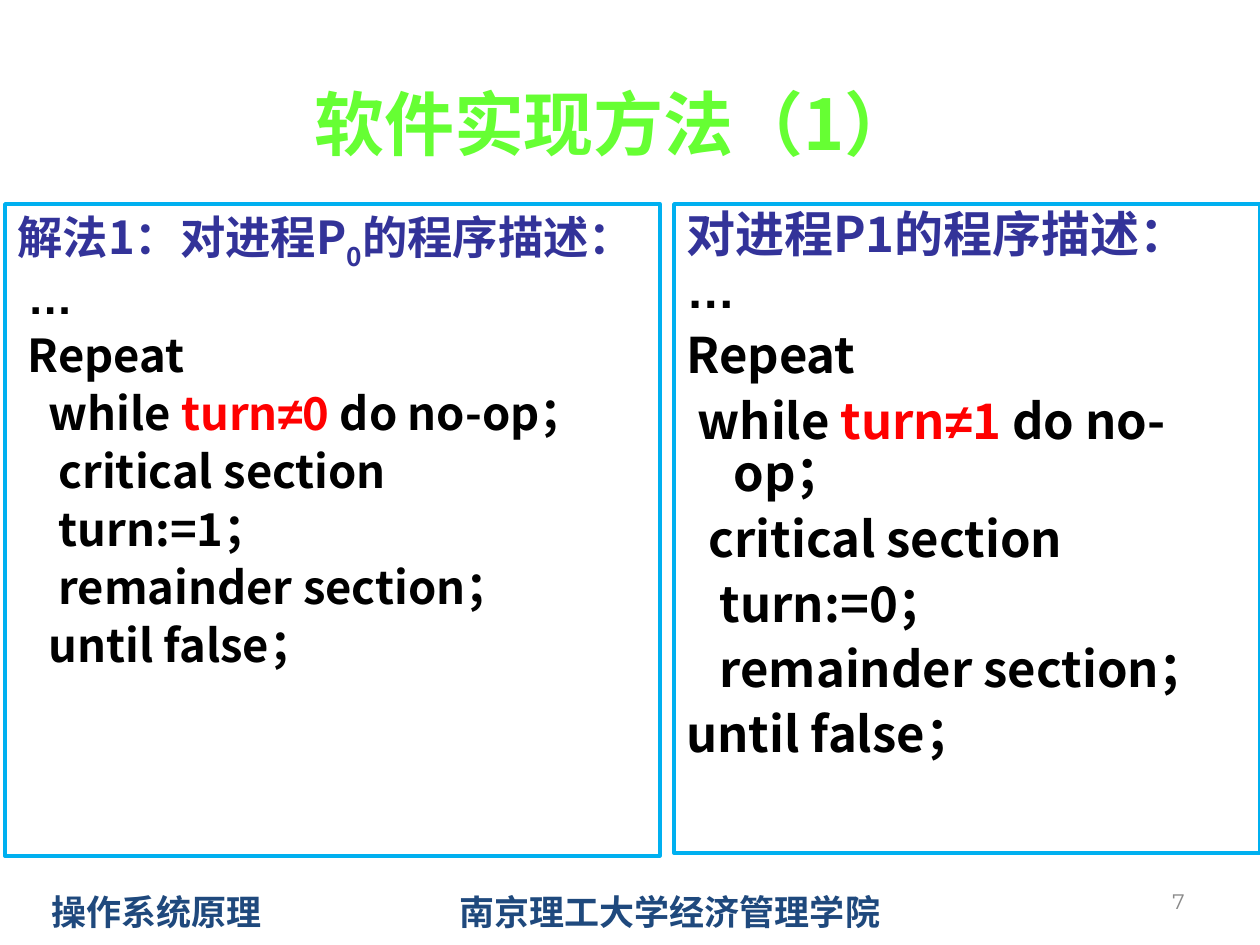
from dataclasses import dataclass

from lxml import etree
from pptx import Presentation
from pptx import util as u
from pptx.dml.color import RGBColor
from pptx.enum import shapes, text
from pptx.oxml.ns import qn

PX = 914400 / 126
CJK = "Noto Sans CJK SC"
BLACK, RED, INDIGO = "000000", "FF0000", "333399"
GREEN, NAVY, GREY, SKY = "66FF33", "1F497D", "898989", "00B0F0"


@dataclass
class Run:
    content: str
    color: str = BLACK
    font: str = CJK
    baseline: int = 0


@dataclass
class Line:
    runs: list[Run]
    space_before: float


@dataclass
class Panel:
    box: tuple[int, int, int, int]
    size: float
    lines: list[Line]


def px(length: int) -> u.Emu:
    return u.Emu(round(length * PX))


def rgb(color: str) -> RGBColor:
    return RGBColor.from_string(color)


def add_run(paragraph, content: str, *, size: float, color: str,
            font: str = CJK, bold: bool = True, baseline: int = 0) -> None:
    run = paragraph.add_run()
    run.text = content
    run.font.size = u.Pt(size)
    run.font.bold = bold
    run.font.color.rgb = rgb(color)
    run.font.name = font
    properties = run.font._element
    etree.SubElement(properties, qn("a:ea")).set("typeface", font)
    if baseline:
        properties.set("baseline", str(baseline * 1000))


def add_label(slide, box: tuple[int, int, int, int], content: str, *,
              align=text.PP_ALIGN.LEFT, anchor=text.MSO_ANCHOR.MIDDLE,
              **run_format) -> None:
    frame = slide.shapes.add_textbox(*map(px, box)).text_frame
    frame.word_wrap = True
    frame.vertical_anchor = anchor
    paragraph = frame.paragraphs[0]
    paragraph.alignment = align
    add_run(paragraph, content, **run_format)


def add_panel(slide, panel: Panel) -> None:
    shape = slide.shapes.add_shape(shapes.MSO_SHAPE.RECTANGLE,
                                   *map(px, panel.box))
    shape.shadow.inherit = False
    shape.fill.background()
    shape.line.color.rgb = rgb(SKY)
    shape.line.width = u.Pt(2)
    frame = shape.text_frame
    frame.word_wrap = True
    frame.vertical_anchor = text.MSO_ANCHOR.TOP
    for index, line in enumerate(panel.lines):
        paragraph = frame.add_paragraph() if index else frame.paragraphs[0]
        paragraph.alignment = text.PP_ALIGN.LEFT
        paragraph.line_spacing = 0.9
        paragraph.space_before = u.Pt(line.space_before)
        hanging = px(47)
        indent = paragraph._p.get_or_add_pPr()
        indent.set("marL", str(hanging))
        indent.set("indent", str(-hanging))
        for run in line.runs:
            add_run(paragraph, run.content, size=panel.size, color=run.color,
                    font=run.font, baseline=run.baseline)


def while_line(indent: str, turn: str) -> list[Run]:
    return [Run(f"{indent}while "), Run("turn", RED), Run("≠", RED, "Arial"),
            Run(turn, RED), Run(" do no-op；")]


def program(heading: list[Run], dots: list[Run], code: list[str | list[Run]],
            dots_gap: float, code_gap: float) -> list[Line]:
    code_lines = [Line([Run(row)] if isinstance(row, str) else row, code_gap)
                  for row in code]
    return [Line(heading, 0), Line(dots, dots_gap), *code_lines]


PANELS = [
    Panel((5, 204, 655, 652), 25.9, program(
        [Run("解法1：对进程P", INDIGO), Run("0", INDIGO, baseline=-25),
         Run("的程序描述：", INDIGO)],
        [Run(" "), Run("…", font="Arial")],
        [" Repeat", while_line("   ", "0"), "    critical section",
         "    turn:=1；", "    remainder section；", "   until false；"],
        5.2, 5.2)),
    Panel((674, 204, 586, 649), 28, program(
        [Run("对进程P1的程序描述：", INDIGO)],
        [Run("…", font="Arial")],
        ["Repeat", while_line(" ", "1"), "  critical section",
         "   turn:=0；", "   remainder section；", "until false；"],
        1.8, 7)),
]


def main() -> None:
    presentation = Presentation()
    presentation.slide_width, presentation.slide_height = px(1260), px(945)
    slide = presentation.slides.add_slide(presentation.slide_layouts[6])

    add_label(slide, (39, 884, 300, 55), "操作系统原理",
              anchor=text.MSO_ANCHOR.TOP, size=20, color=NAVY)
    add_label(slide, (447, 884, 500, 55), "南京理工大学经济管理学院",
              anchor=text.MSO_ANCHOR.TOP, size=20, color=NAVY)
    add_label(slide, (94, 55, 1041, 135), "软件实现方法（1）",
              align=text.PP_ALIGN.CENTER, size=40, color=GREEN)
    for panel in PANELS:
        add_panel(slide, panel)
    add_label(slide, (903, 876, 294, 50), "7", align=text.PP_ALIGN.RIGHT,
              size=12, color=GREY, font="Montserrat", bold=False)

    presentation.save("out.pptx")


if __name__ == "__main__":
    main()
